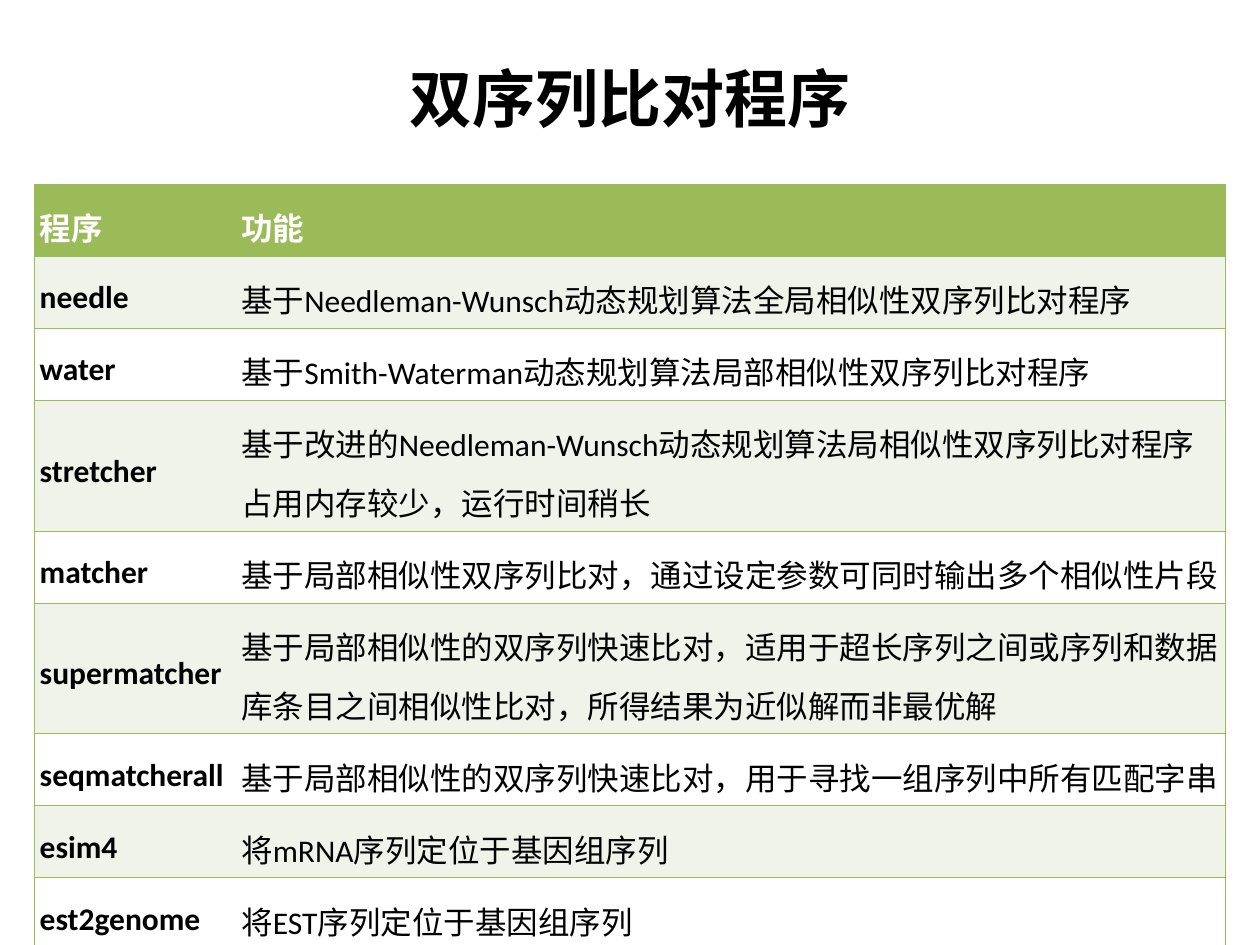
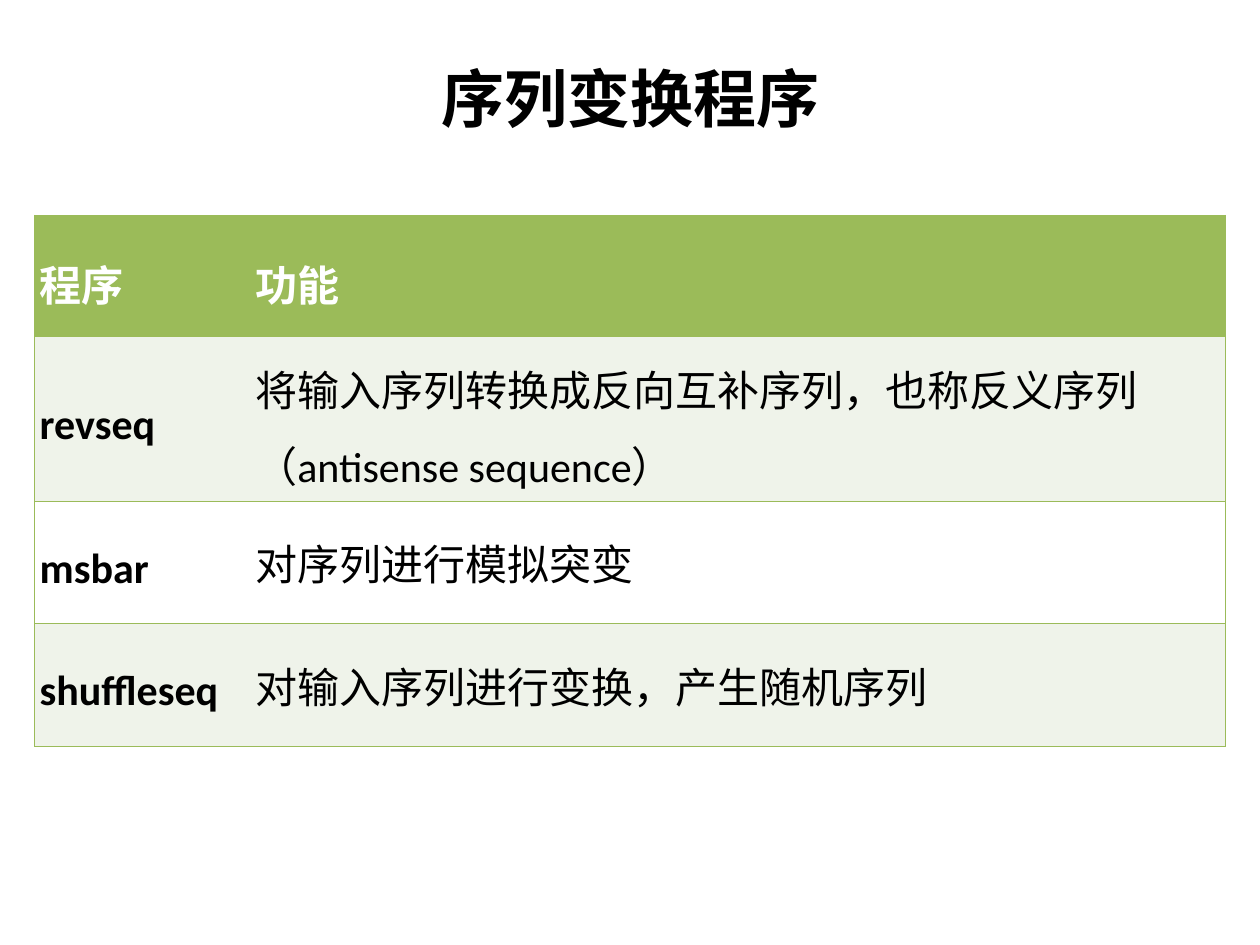
import pptx
import pptx.dml.color
import pptx.enum.text
import pptx.oxml
import pptx.oxml.ns
import pptx.util

Pt = pptx.util.Pt
RGBColor = pptx.dml.color.RGBColor
PP_ALIGN = pptx.enum.text.PP_ALIGN
MIDDLE = pptx.enum.text.MSO_ANCHOR.MIDDLE

GREEN = RGBColor(0x9B, 0xBB, 0x59)
PALE = RGBColor(0xEF, 0xF3, 0xEA)
WHITE = RGBColor(0xFF, 0xFF, 0xFF)
BLACK = RGBColor(0x00, 0x00, 0x00)

FONT = "Calibri"
LEFT, WIDTH = 19.8, 680.4
TITLE_BOX = (LEFT, 27, WIDTH, 57)
BORDER = 0.45
HEADER = ("程序", "功能")

ALIGNMENT_PROGRAMS = [
    ("needle", "基于Needleman-Wunsch动态规划算法全局相似性双序列比对程序"),
    ("water", "基于Smith-Waterman动态规划算法局部相似性双序列比对程序"),
    ("stretcher", "基于改进的Needleman-Wunsch动态规划算法局相似性双序列比对程序\n"
                  "占用内存较少，运行时间稍长"),
    ("matcher", "基于局部相似性双序列比对，通过设定参数可同时输出多个相似性片段"),
    ("supermatcher", "基于局部相似性的双序列快速比对，适用于超长序列之间或序列和数据"
                     "库条目之间相似性比对，所得结果为近似解而非最优解"),
    ("seqmatcherall", "基于局部相似性的双序列快速比对，用于寻找一组序列中所有匹配字串"),
    ("esim4", "将mRNA序列定位于基因组序列"),
    ("est2genome", "将EST序列定位于基因组序列"),
]
TRANSFORM_PROGRAMS = [
    ("revseq", "将输入序列转换成反向互补序列，也称反义序列（antisense sequence）"),
    ("msbar", "对序列进行模拟突变"),
    ("shuffleseq", "对输入序列进行变换，产生随机序列"),
]


def format_runs(p, size, color, bold):
    for r in p.runs:
        r.font.name = FONT
        r.font.size = Pt(size)
        r.font.bold = bold
        r.font.color.rgb = color


def add_title(slide, text, box):
    tf = slide.shapes.add_textbox(*map(Pt, box)).text_frame
    tf.word_wrap = True
    tf.vertical_anchor = MIDDLE
    tf.margin_left = tf.margin_right = Pt(10)
    tf.margin_top = tf.margin_bottom = Pt(6)
    tf.text = text
    p = tf.paragraphs[0]
    p.alignment = PP_ALIGN.CENTER
    format_runs(p, 36, BLACK, True)


def set_borders(cell, hidden_side):
    """Draw green lines on every side but the one between the columns."""
    tc_pr = cell._tc.get_or_add_tcPr()
    ns = pptx.oxml.ns.nsdecls("a")
    for i, side in enumerate("LRTB"):
        fill = ("<a:noFill/>" if side == hidden_side else
                f'<a:solidFill><a:srgbClr val="{GREEN}"/></a:solidFill>')
        ln = pptx.oxml.parse_xml(
            f'<a:ln{side} {ns} w="{Pt(BORDER)}">{fill}</a:ln{side}>')
        tc_pr.insert(i, ln)


def fill_cell(cell, text, row, col, size, spacing):
    is_header = row == 0
    cell.fill.solid()
    cell.fill.fore_color.rgb = GREEN if is_header else PALE if row % 2 else WHITE
    set_borders(cell, "R" if col == 0 else "L")
    cell.vertical_anchor = MIDDLE
    cell.margin_left = cell.margin_right = Pt(2.9)
    cell.margin_top = cell.margin_bottom = Pt(3.6)
    cell.text_frame.text = text
    for p in cell.text_frame.paragraphs:
        p.line_spacing = spacing
        format_runs(p, size, WHITE if is_header else BLACK, is_header or col == 0)


def add_program_table(slide, programs, top, name_width, heights, size, spacing,
                      justified=()):
    """Add the table; rows listed in justified have single-spaced functions."""
    rows = [HEADER, *programs]
    table = slide.shapes.add_table(len(rows), 2, Pt(LEFT), Pt(top), Pt(WIDTH),
                                   Pt(sum(heights))).table
    table.horz_banding = False
    table.columns[0].width = Pt(name_width)
    table.columns[1].width = Pt(WIDTH - name_width)
    for i, (texts, height) in enumerate(zip(rows, heights)):
        table.rows[i].height = Pt(height)
        for j, text in enumerate(texts):
            fill_cell(table.cell(i, j), text, i, j, size, spacing)
    for i in justified:
        p = table.cell(i, 1).text_frame.paragraphs[0]
        p.alignment = PP_ALIGN.JUSTIFY
        p.line_spacing = 1.0


def add_program_slide(prs, title, programs, **layout):
    slide = prs.slides.add_slide(prs.slide_layouts[6])
    add_title(slide, title, TITLE_BOX)
    add_program_table(slide, programs, **layout)


def main():
    prs = pptx.Presentation()
    prs.slide_width, prs.slide_height = Pt(720), Pt(540)
    single, double = 41.15, 74.8
    add_program_slide(
        prs, "双序列比对程序", ALIGNMENT_PROGRAMS, top=105.2, name_width=115.2,
        heights=[single] * 3 + [double, single, double] + [single] * 3,
        size=18, spacing=1.3)
    add_program_slide(
        prs, "序列变换程序", TRANSFORM_PROGRAMS, top=123, name_width=123.2,
        heights=[69.2, 94.3, 70, 70], size=24, spacing=1.25, justified=(2, 3))
    prs.save("out.pptx")


if __name__ == "__main__":
    main()
